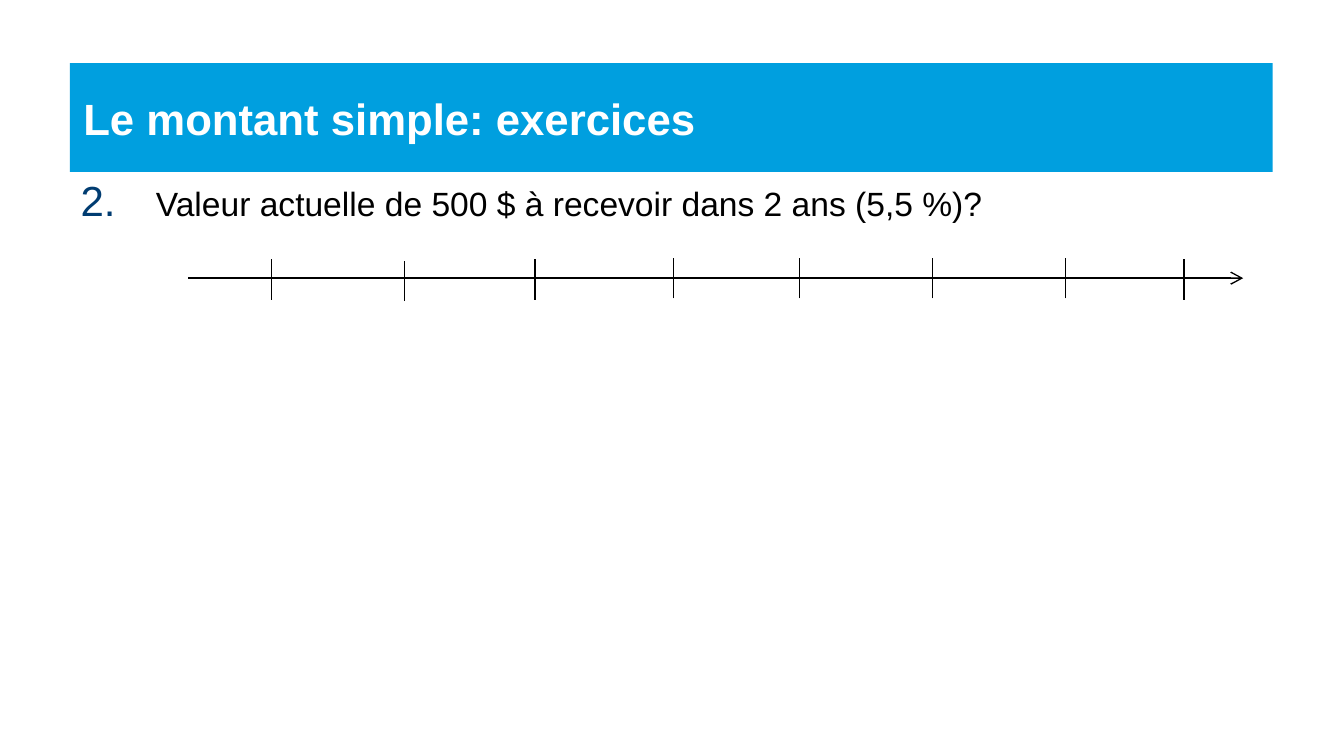
from dataclasses import dataclass

from lxml import etree
from pptx import Presentation
from pptx.dml.color import RGBColor
from pptx.enum.shapes import MSO_CONNECTOR
from pptx.enum.text import MSO_ANCHOR, MSO_AUTO_SIZE, PP_ALIGN
from pptx.oxml.ns import qn
from pptx.util import Inches, Pt

STRAIGHT = MSO_CONNECTOR.STRAIGHT
LEFT = PP_ALIGN.LEFT
TOP, MIDDLE = MSO_ANCHOR.TOP, MSO_ANCHOR.MIDDLE
NO_AUTOFIT = MSO_AUTO_SIZE.NONE

FONT = "Arial"
COLORS = {
    "banner": "009FDF",
    "title": "FFFFFF",
    "number": "003C71",
    "ink": "000000",
}
TICK_HEIGHT = 0.3


@dataclass
class Tick:
    x: float
    top: float


TICKS = [
    Tick(2.02, 1.93), Tick(3.01, 1.94), Tick(3.98, 1.93), Tick(5.01, 1.92),
    Tick(5.95, 1.92), Tick(7.93, 1.92), Tick(6.94, 1.92), Tick(8.81, 1.93),
]


def rgb(name: str) -> RGBColor:
    return RGBColor.from_string(COLORS[name])


def place(sp, left: float, top: float, width: float, height: float) -> None:
    sp.left, sp.top = Inches(left), Inches(top)
    sp.width, sp.height = Inches(width), Inches(height)


def write(sp, text: str, size: float, color: str, anchor, bold: bool = False):
    tf = sp.text_frame
    tf.text = text
    tf.word_wrap = True
    tf.auto_size = NO_AUTOFIT
    tf.vertical_anchor = anchor
    p = tf.paragraphs[0]
    p.alignment = LEFT
    p.space_before = Pt(0)
    font = p.runs[0].font
    font.name, font.size, font.bold = FONT, Pt(size), bold
    font.color.rgb = rgb(color)
    return p


def number(p, start: int, indent: float, percent: int) -> None:
    pPr = p._p.get_or_add_pPr()
    pPr.set("marL", str(Inches(indent)))
    pPr.set("indent", str(-Inches(indent)))
    color = etree.SubElement(pPr, qn("a:buClr"))
    etree.SubElement(color, qn("a:srgbClr"), val=COLORS["number"])
    etree.SubElement(pPr, qn("a:buSzPct"), val=str(percent * 1000))
    etree.SubElement(pPr, qn("a:buFont"), typeface=FONT)
    etree.SubElement(pPr, qn("a:buAutoNum"), type="arabicPeriod", startAt=str(start))


def draw_line(slide, x1: float, y1: float, x2: float, y2: float, arrow: bool = False) -> None:
    line = slide.shapes.add_connector(STRAIGHT, Inches(x1), Inches(y1), Inches(x2), Inches(y2))
    line.line.color.rgb = rgb("ink")
    line.line.width = Pt(0.75)
    if arrow:
        etree.SubElement(line.line._get_or_add_ln(), qn("a:tailEnd"), type="arrow")
    etree.SubElement(line._element.spPr, qn("a:effectLst"))


def main() -> None:
    # Widescreen 16:9 page
    prs = Presentation()
    prs.slide_width = Inches(10)
    prs.slide_height = prs.slide_width * 9 // 16
    slide = prs.slides.add_slide(prs.slide_layouts[1])
    title, body = slide.placeholders

    # Title banner
    place(title, 0.52, 0.47, 8.95, 0.81)
    title.fill.solid()
    title.fill.fore_color.rgb = rgb("banner")
    write(title, "Le montant simple: exercices", 23.4, "title", MIDDLE, bold=True)

    # Numbered question
    place(body, 0.5, 1.31, 8.44, 3.71)
    question = write(body, "Valeur actuelle de 500 $ à recevoir dans 2 ans (5,5 %)?", 18, "ink", TOP)
    number(question, start=2, indent=0.56, percent=125)

    # Timeline
    draw_line(slide, 1.4, 2.07, 9.25, 2.07, arrow=True)
    for tick in TICKS:
        draw_line(slide, tick.x, tick.top + TICK_HEIGHT, tick.x, tick.top)

    prs.save("out.pptx")


if __name__ == "__main__":
    main()
